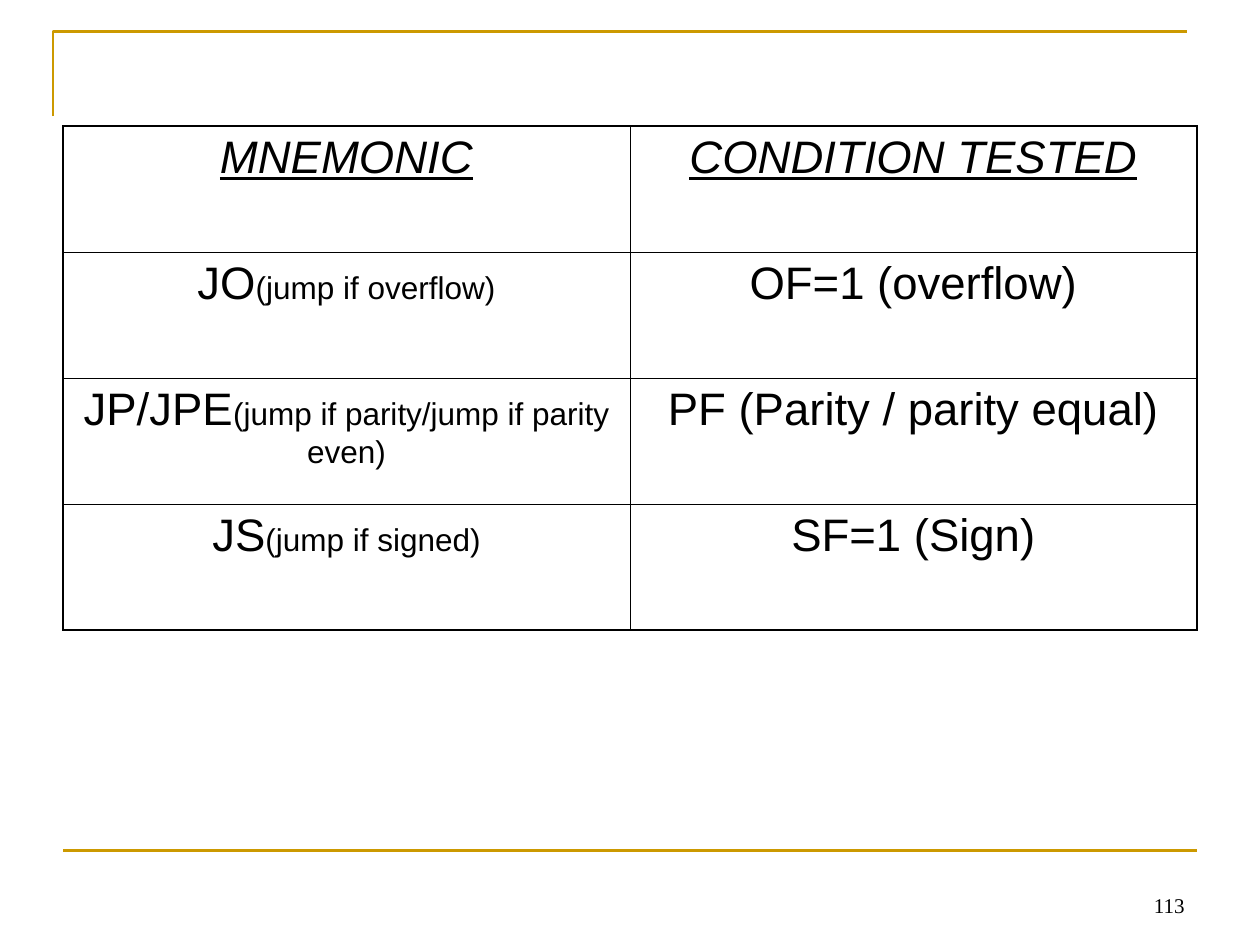
from lxml.etree import SubElement
from pptx import Presentation
from pptx.dml.color import RGBColor
from pptx.enum.shapes import MSO_CONNECTOR
from pptx.enum.text import MSO_ANCHOR, PP_ALIGN
from pptx.oxml.ns import qn
from pptx.util import Cm, Pt

# Content: each cell is a list of (text, style) spans
ROWS = [
    ([("MNEMONIC", "heading")], [("CONDITION TESTED", "heading")]),
    ([("JO", "body"), ("(jump if overflow)", "note")],
     [("OF=1 (overflow)", "body")]),
    ([("JP/JPE", "body"), ("(jump if parity/jump if parity even)", "note")],
     [("PF (Parity / parity equal)", "body")]),
    ([("JS", "body"), ("(jump if signed)", "note")],
     [("SF=1 (Sign)", "body")]),
]
PAGE_NUMBER = "113"

THEME = {
    "ink": RGBColor(0, 0, 0),
    "gold": RGBColor(0xCC, 0x99, 0x00),
    "rule": Pt(1.5),
    "outer": Pt(1.08),
    "inner": Pt(0.45),
    "heading": {"name": "Arial", "size": Pt(26), "italic": True, "underline": True},
    "body": {"name": "Arial", "size": Pt(26)},
    "note": {"name": "Arial", "size": Pt(18)},
    "number": {"name": "Times New Roman", "size": Pt(12)},
}

# Layout in centimetres
LEFT, WIDTH, TABLE_TOP, ROW_HEIGHT = 1.27, 22.86, 2.54, 2.54
CORNER = [(1.07, 2.34), (1.07, 0.64), (23.93, 0.64)]
FOOT_RULE = 17.15


def add_spans(para, spans, align):
    para.alignment = align
    for text, style in spans:
        span = para.add_run()
        span.text = text
        for name, value in THEME[style].items():
            setattr(span.font, name, value)
        span.font.color.rgb = THEME["ink"]


def style_rule(shape):
    shape.line.color.rgb = THEME["gold"]
    shape.line.width = THEME["rule"]


def set_borders(cell, on_edge):
    properties = cell._tc.get_or_add_tcPr()
    for side, is_outer in on_edge.items():
        width = THEME["outer" if is_outer else "inner"]
        line = SubElement(properties, qn(f"a:ln{side}"), w=str(width))
        fill = SubElement(line, qn("a:solidFill"))
        SubElement(fill, qn("a:srgbClr"), val=str(THEME["ink"]))


deck = Presentation()
deck.slide_width, deck.slide_height = Cm(25.4), Cm(19.05)
page = deck.slides.add_slide(deck.slide_layouts[6])

# Corner rule at the top
points = [(Cm(x), Cm(y)) for x, y in CORNER]
builder = page.shapes.build_freeform(*points[0])
builder.add_line_segments(points[1:], close=False)
corner = builder.convert_to_shape()
corner.shadow.inherit = False
corner.fill.background()
style_rule(corner)

# Rule above the footer
foot = page.shapes.add_connector(
    MSO_CONNECTOR.STRAIGHT, Cm(LEFT), Cm(FOOT_RULE), Cm(LEFT + WIDTH), Cm(FOOT_RULE))
style_rule(foot)
SubElement(foot._element.spPr, qn("a:effectLst"))

# Page number
box = page.shapes.add_textbox(Cm(18.21), Cm(17.36), Cm(5.92), Cm(1.27))
box.text_frame.word_wrap = True
box.text_frame.vertical_anchor = MSO_ANCHOR.BOTTOM
add_spans(box.text_frame.paragraphs[0], [(PAGE_NUMBER, "number")], PP_ALIGN.RIGHT)

# Table of jump mnemonics
row_count, column_count = len(ROWS), len(ROWS[0])
table = page.shapes.add_table(
    row_count, column_count, Cm(LEFT), Cm(TABLE_TOP),
    Cm(WIDTH), Cm(ROW_HEIGHT * row_count)).table
table.first_row = table.horz_banding = False
for r, row in enumerate(ROWS):
    for c, spans in enumerate(row):
        cell = table.cell(r, c)
        add_spans(cell.text_frame.paragraphs[0], spans, PP_ALIGN.CENTER)
        set_borders(cell, {"L": c == 0, "R": c == column_count - 1,
                           "T": r == 0, "B": r == row_count - 1})
        cell.fill.background()

deck.save("out.pptx")
